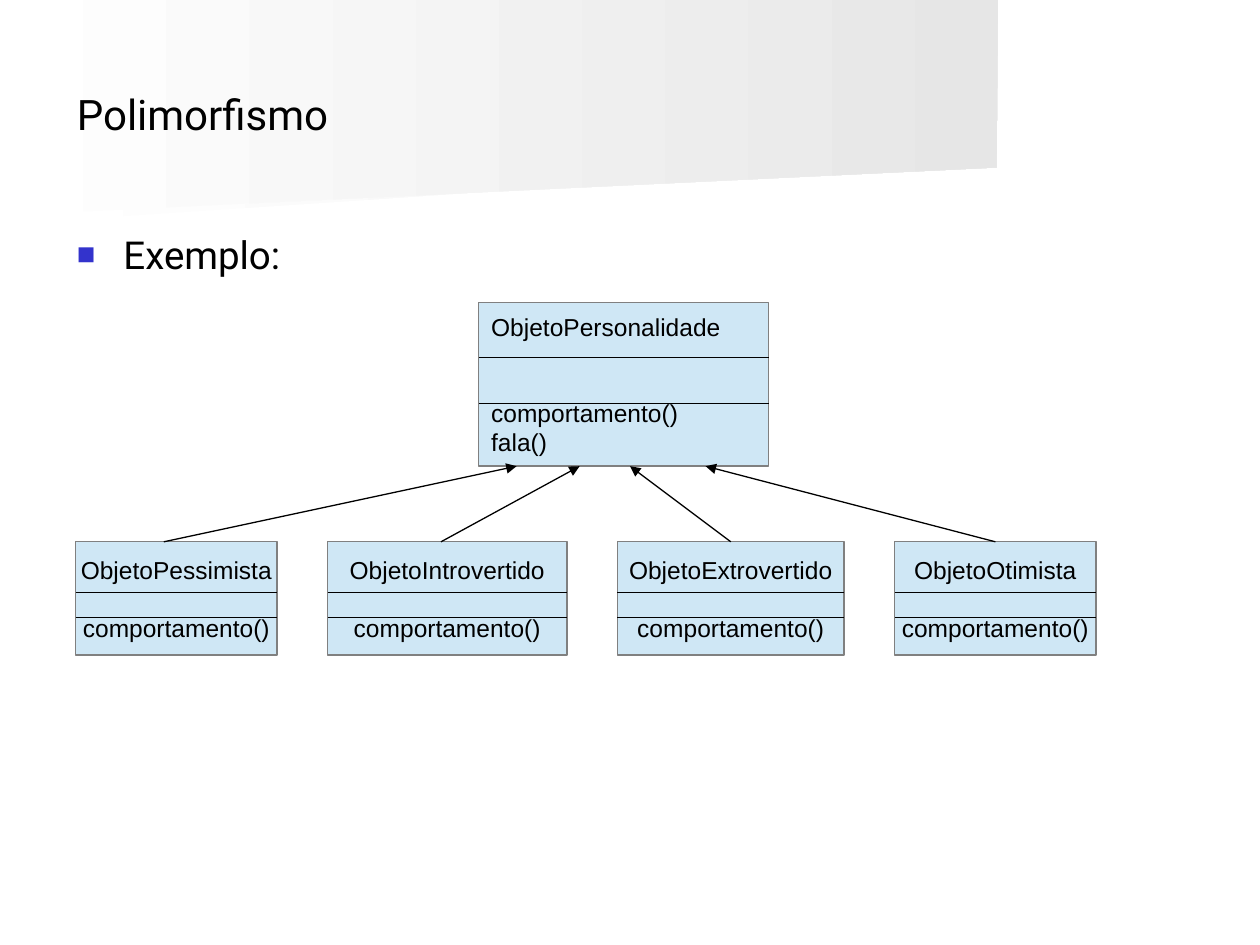
from typing import NamedTuple

from lxml.etree import SubElement
from pptx import Presentation
from pptx.dml.color import RGBColor
from pptx.enum.shapes import MSO_CONNECTOR, MSO_SHAPE
from pptx.enum.text import MSO_ANCHOR as Anchor, MSO_AUTO_SIZE as AutoSize, PP_ALIGN as Align
from pptx.oxml.ns import qn
from pptx.util import Inches, Pt

BLACK = RGBColor(0x00, 0x00, 0x00)
WHITE = RGBColor(0xFF, 0xFF, 0xFF)
GREY = RGBColor(0x80, 0x80, 0x80)
PALE_GREY = RGBColor(0xF0, 0xF0, 0xF0)
LIGHT_GREY = RGBColor(0xE6, 0xE6, 0xE6)
SKY = RGBColor(0xCF, 0xE7, 0xF5)
BULLET_BLUE = "3333CC"

COLS, ROWS = 100, 75
LINE_HEIGHT = 16.1


class ClassBox(NamedTuple):
    name: str
    methods: list
    col: float
    row: float
    cols: float
    rows: float
    dividers: tuple
    gap_lines: int
    align: Align


class Inheritance(NamedTuple):
    child_col: float
    parent_col: float


def subclass(name: str, col: float, cols: float) -> ClassBox:
    return ClassBox(name, ["comportamento()"], col, 43, cols, 9, (4, 6), 1, Align.CENTER)


PARENT = ClassBox("ObjetoPersonalidade", ["comportamento()", "fala()"],
                  38, 24, 23, 13, (4.4, 8), 2, Align.LEFT)
CHILDREN = [
    subclass("ObjetoPessimista", 6, 16),
    subclass("ObjetoIntrovertido", 26, 19),
    subclass("ObjetoExtrovertido", 49, 18),
    subclass("ObjetoOtimista", 71, 16),
]
ARROWS = [Inheritance(13, 41), Inheritance(35, 46), Inheritance(58, 50), Inheritance(79, 56)]

prs = Presentation()
prs.slide_width, prs.slide_height = Inches(10), Inches(7.5)


def x(cols: float) -> int:
    return round(prs.slide_width * cols / COLS)


def y(rows: float) -> int:
    return round(prs.slide_height * rows / ROWS)


def format_text(p, size: float, font: str) -> None:
    for r in p.runs:
        r.font.size = Pt(size)
        r.font.name = font
        r.font.color.rgb = BLACK


def add_band(s, points: list, end_color: RGBColor, z: int) -> None:
    corners = [(x(col), y(row)) for col, row in points]
    builder = s.shapes.build_freeform(*corners[0])
    builder.add_line_segments(corners[1:], close=True)
    sp = builder.convert_to_shape()
    sp.shadow.inherit = False
    sp.line.fill.background()
    sp.fill.gradient()
    sp.fill.gradient_angle = 0
    for stop, color in zip(sp.fill.gradient_stops, (WHITE, end_color)):
        stop.color.rgb = color
    s.shapes.element.insert(2 + z, sp.element)


def fill_placeholder(sp, text: str, row: float, rows: float, size: float, anchor: Anchor):
    sp.left, sp.top, sp.width, sp.height = x(5.1), y(row), x(90), y(rows)
    tf = sp.text_frame
    tf.text = text
    tf.auto_size = AutoSize.NONE
    tf.vertical_anchor = anchor
    p = tf.paragraphs[0]
    p.alignment = Align.LEFT
    p.space_before = Pt(0)
    format_text(p, size, "Roboto")
    return p


def add_bullet(p) -> None:
    pPr = p._p.get_or_add_pPr()
    pPr.set("marL", str(Inches(0.37)))
    pPr.set("indent", str(Inches(-0.37)))
    color = SubElement(pPr, qn("a:buClr"))
    SubElement(color, qn("a:srgbClr"), val=BULLET_BLUE)
    SubElement(pPr, qn("a:buSzPct"), val="80000")
    SubElement(pPr, qn("a:buChar"), char="■")


def add_line(s, start: tuple, end: tuple, arrow: bool = False) -> None:
    cn = s.shapes.add_connector(MSO_CONNECTOR.STRAIGHT, x(start[0]), y(start[1]),
                                x(end[0]), y(end[1]))
    cn.line.color.rgb = BLACK
    cn.line.width = Pt(0.75)
    if arrow:
        SubElement(cn.line._get_or_add_ln(), qn("a:tailEnd"), type="triangle")
    SubElement(cn.element.spPr, qn("a:effectLst"))


def add_class(s, box: ClassBox) -> None:
    sp = s.shapes.add_shape(MSO_SHAPE.RECTANGLE, x(box.col), y(box.row),
                            x(box.cols), y(box.rows))
    sp.shadow.inherit = False
    sp.fill.solid()
    sp.fill.fore_color.rgb = SKY
    sp.line.color.rgb = GREY
    sp.line.width = Pt(0.75)
    tf = sp.text_frame
    tf.word_wrap = False
    tf.vertical_anchor = Anchor.MIDDLE
    tf.text = "\n".join([box.name, *box.methods])
    for p in tf.paragraphs:
        p.alignment = box.align
        format_text(p, 14, "Arial")
    tf.paragraphs[1].space_before = Pt(box.gap_lines * LINE_HEIGHT)
    for offset in box.dividers:
        row = box.row + offset
        add_line(s, (box.col, row), (box.col + box.cols, row))


def main() -> None:
    s = prs.slides.add_slide(prs.slide_layouts[1])
    add_band(s, [(77.8, 12.6), (0, 17.8), (0, 8.3), (77.9, 8.3)], PALE_GREY, 0)
    add_band(s, [(79.1, 13.3), (0, 17.1), (0, 0), (79.2, 0)], LIGHT_GREY, 1)
    fill_placeholder(s.shapes.title, "Polimorfismo", 2.8, 12.5, 24, Anchor.MIDDLE)
    p = fill_placeholder(s.placeholders[1], "Exemplo:", 17.8, 49.2, 22, Anchor.TOP)
    add_bullet(p)
    for box in [PARENT, *CHILDREN]:
        add_class(s, box)
    for a in ARROWS:
        add_line(s, (a.child_col, CHILDREN[0].row),
                 (a.parent_col, PARENT.row + PARENT.rows), arrow=True)
    prs.save("out.pptx")


if __name__ == "__main__":
    main()
